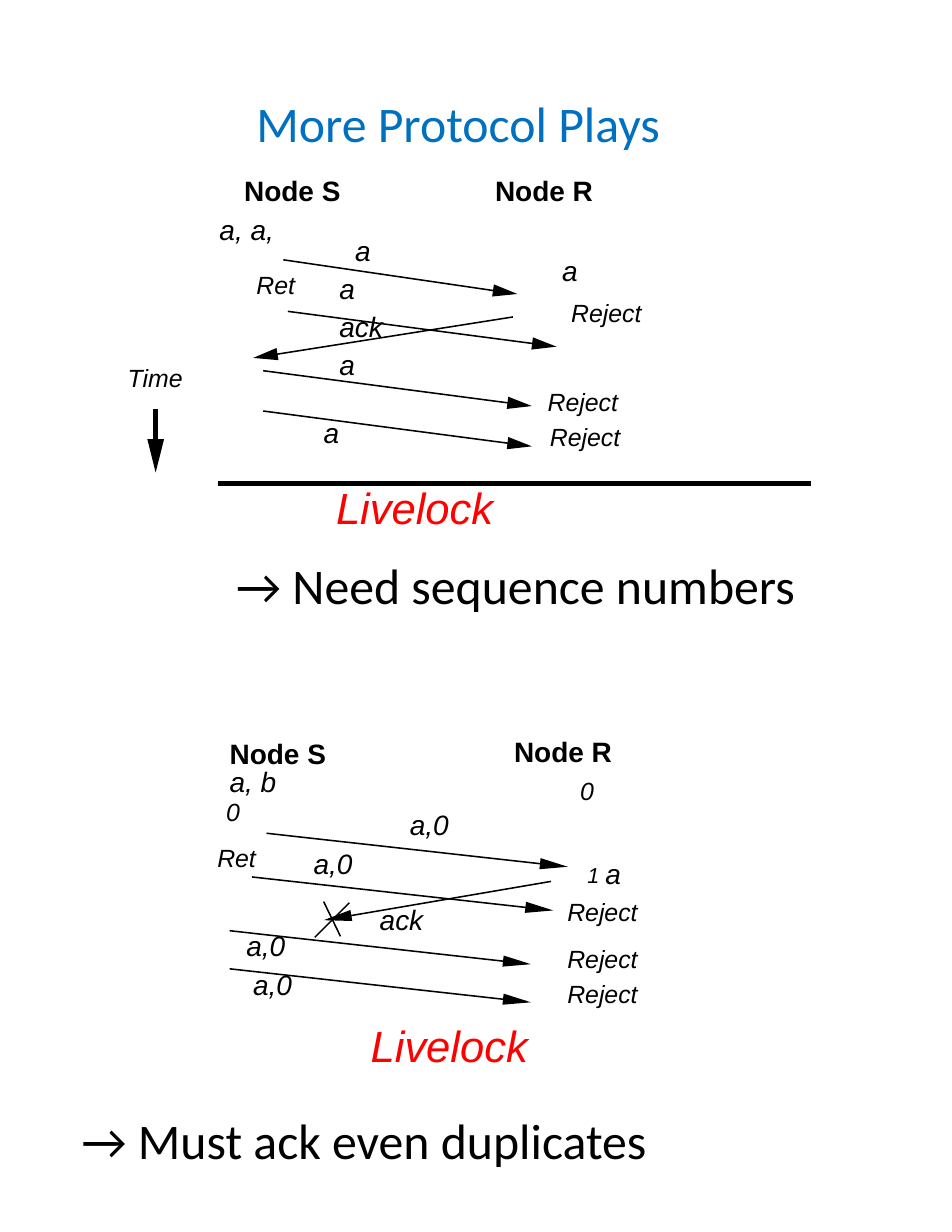
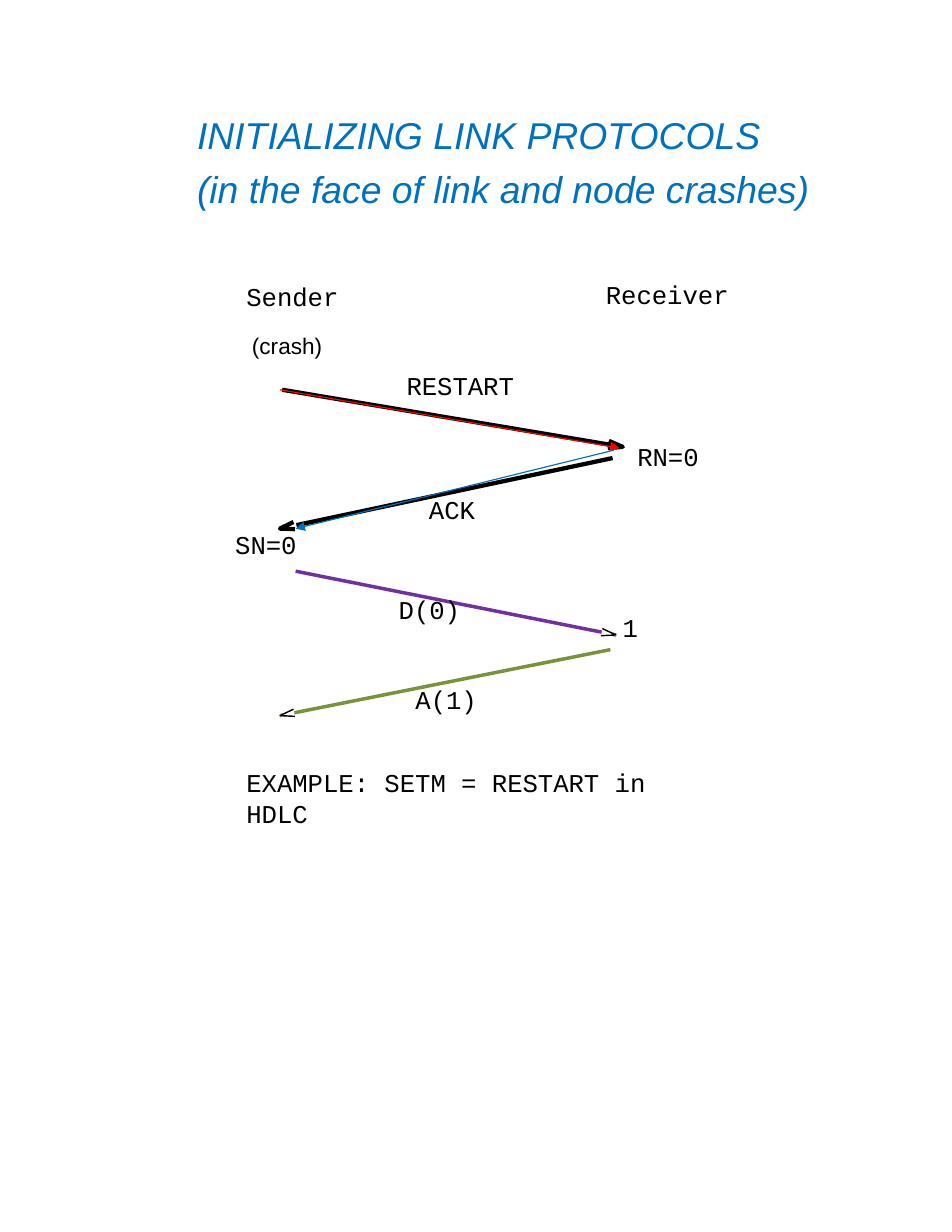
import math

from lxml import etree
from pptx import Presentation
from pptx.dml.color import RGBColor
from pptx.enum import shapes
from pptx.oxml import ns
from pptx.util import Inches, Pt

COLOURS = {"ink": "000000", "paper": "FFFFFF", "title": "0070C0", "alarm": "FF0000",
           "data": "7030A0", "answer": "77933C"}
GRID = 0.1  # inches per column and row: 85 columns by 110 rows
SANS, MONO, HEADING = "Arial", "Courier New", "Calibri"


def cell(count):
    return Inches(count * GRID)


def colour(name):
    return RGBColor.from_string(COLOURS[name])


class Sketch:
    """Holds the deck's style and draws on the current page."""

    def __init__(self):
        self.deck = Presentation()
        self.deck.slide_width, self.deck.slide_height = cell(85), cell(110)
        self.page = None

    def new_page(self):
        self.page = self.deck.slides.add_slide(self.deck.slide_layouts[6])

    def style(self, span, size=18, font=SANS, ink="ink", bold=False, italic=False):
        span.font.size, span.font.name = Pt(size), font
        span.font.bold, span.font.italic = bold, italic
        span.font.color.rgb = colour(ink)

    def label(self, column, row, width, height, *lines, inset=(0, 0),
              centred=False, spacing=None, **look):
        """Each line is a string, or a string with its own settings."""
        box = self.page.shapes.add_textbox(cell(column), cell(row), cell(width), cell(height))
        frame = box.text_frame
        frame.word_wrap = True
        frame.margin_left = frame.margin_right = cell(inset[0])
        frame.margin_top = frame.margin_bottom = cell(inset[1])
        parts = [(line, {}) if isinstance(line, str) else line for line in lines]
        frame.text = "\n".join(line for line, _ in parts)
        for paragraph, (_, own) in zip(frame.paragraphs, parts):
            own = {**look, "spacing": spacing, **own}
            properties = paragraph._p.get_or_add_pPr()
            properties.set("marL", str(cell(own.pop("left", 0))))
            if centred:
                properties.set("algn", "ctr")
            paragraph.space_before = Pt(own.pop("before", 0))
            paragraph.line_spacing = own.pop("spacing")
            for span in paragraph.runs:
                self.style(span, **own)
        return frame

    def heading(self, column, row, width, text, ink="ink"):
        self.label(column, row, width, 6.4, text, inset=(1, 0.5),
                   size=32, font=HEADING, ink=ink)

    def line(self, start, end, ink="ink", weight=1, pointed=False):
        line = self.page.shapes.add_connector(
            shapes.MSO_CONNECTOR.STRAIGHT, *map(cell, (*start, *end)))
        line.line.color.rgb, line.line.width = colour(ink), Pt(weight)
        properties = line._element.spPr
        if pointed:
            outline = properties.find(ns.qn("a:ln"))
            etree.SubElement(outline, ns.qn("a:tailEnd"), type="triangle")
        etree.SubElement(properties, ns.qn("a:effectLst"))

    def head(self, start, end, length, width, reach=0, fill=None, weight=1):
        """A filled triangle, or two open barbs, whose tip lies past the end."""
        angle = math.atan2(end[1] - start[1], end[0] - start[0])
        along, across = math.cos(angle), math.sin(angle)

        def place(forward, side):
            return (cell(end[0] + forward * along - side * across),
                    cell(end[1] + forward * along * 0 + forward * across + side * along))

        back = reach - length
        builder = self.page.shapes.build_freeform(*place(back, -width / 2))
        builder.add_line_segments([place(reach, 0), place(back, width / 2)], close=bool(fill))
        shape = builder.convert_to_shape()
        shape.shadow.inherit = False
        if fill:
            shape.fill.solid()
            shape.fill.fore_color.rgb = colour(fill)
            shape.line.fill.background()
        else:
            shape.fill.background()
            shape.line.color.rgb, shape.line.width = colour("ink"), Pt(weight)

    def arrow(self, start, end, length=2.2, width=1.1, reach=0.4, weight=1):
        self.line(start, end, weight=weight)
        self.head(start, end, length, width, reach, fill="ink")

    def barbed(self, start, end, ink, weight, barb_weight, mask=None):
        self.line(start, end, ink, weight)
        if mask:
            self.head(start, end, *mask, fill="paper")
        self.head(start, end, 1.3, 0.65, weight=barb_weight)

    def copies(self, starts, run, **head):
        for column, row in starts:
            self.arrow((column, row), (column + run[0], row + run[1]), **head)


def protocol_plays(sketch):
    sketch.new_page()
    label = sketch.label
    note = {"size": 16, "italic": True}
    message = {"italic": True}
    livelock = {"size": 28, "ink": "alarm", "italic": True}

    # First play: no sequence numbers
    for column, name in ((21.8, "Node S"), (44.2, "Node R")):
        label(column, 15.5, 11.3, 3.9, name, bold=True)
    sketch.arrow((25.3, 23.2), (45.8, 26.2))
    sketch.arrow((45.8, 28.3), (23, 31.9))
    sketch.copies([(25.7, 27.8), (23.5, 33.1), (23.5, 36.7)], (23.6, 3.1))
    label(19.6, 19, 6.4, 3.9, "a, a,", **message)
    label(22.9, 24.1, 4.7, 3.5, "Ret", **note)
    label(30.3, 20.4, 5.2, 16.9, ("a", {"left": 1.4}), "a", "ack", "a",
          spacing=1.14, **message)
    label(28.9, 37.1, 2.1, 3.9, "a", **message)
    label(50.2, 22.6, 9.1, 8.4, "a",
          ("Reject", {"size": 16, "left": 0.8, "before": 7.2}), **message)
    label(48.9, 34.1, 8.4, 7.8, "Reject", ("Reject", {"left": 0.2}), spacing=1.16, **note)
    label(30, 42.9, 18.1, 4.7, "Livelock", **livelock)

    # Time axis and divider
    label(11.4, 32.4, 6.5, 3.5, "Time", **note)
    sketch.arrow((13.9, 36.5), (13.9, 41.2), length=3, width=1.5, reach=1, weight=3)
    sketch.line((19.5, 43.2), (72.4, 43.2), weight=3)

    # Second play: numbered data, lost ack
    long_head = {"length": 2.5, "width": 1}
    sketch.copies([(23.8, 74.4), (22.5, 78.3), (20.5, 83.1), (20.5, 86.5)],
                  (26.5, 2.95), **long_head)
    sketch.arrow((49.2, 78.7), (29.3, 82.1), **long_head)
    sketch.line((28.9, 80.5), (30.4, 83.6))
    sketch.line((31.2, 80.6), (28.1, 83.7))
    label(20.1, 66, 12.9, 9.3,
          ("Node S", {"bold": True, "italic": False, "left": 0.4, "spacing": Pt(19.6)}),
          ("a, b", {"left": 0.4, "spacing": Pt(18.6)}),
          ("0", {"size": 16, "left": 0.1, "spacing": Pt(18.2)}), **message)
    label(45.9, 65.6, 12.7, 7.5, ("Node R", {"bold": True}),
          ("0", {"left": 5.9, "before": 4.6, **note}))
    label(19.4, 75.2, 5.2, 3.3, "Ret", **note)
    for column, row, text in ((36.6, 72.1, "a,0"), (28, 75.6, "a,0"), (33.9, 80.6, "ack")):
        label(column, row, 5.8, 3.7, text, **message)
    label(22, 82.9, 6.1, 7.8, "a,0", ("a,0", {"left": 0.6, "before": 3.6}), **message)
    replies = label(49, 75.6, 9.6, 15.8, ("1 ", {"size": 24, "left": 0.3}),
                    ("Reject", {"before": 3.2}),
                    ("Reject", {"before": 8.1, "spacing": 1.16}),
                    ("Reject", {"spacing": 1.16}), centred=True, **note)
    first = replies.paragraphs[0]
    first.runs[0]._r.get_or_add_rPr().set("baseline", "2000")
    accepted = first.add_run()
    accepted.text = "a"
    sketch.style(accepted, **message)
    label(33.1, 91, 19.4, 4.7, "Livelock", **livelock)

    # Title and conclusions
    sketch.heading(21.9, 7.8, 50.4, "More Protocol Plays", ink="title")
    sketch.heading(20.1, 49, 62.4, "→ Need sequence numbers")
    sketch.heading(6.3, 98.6, 62.4, "→ Must ack even duplicates")


def initializing(sketch):
    sketch.new_page()
    label = sketch.label
    code = {"size": 16.5, "font": MONO}

    # Title and node names
    label(17.6, 10, 60, 8.9, "INITIALIZING LINK PROTOCOLS",
          ("(in the face of link and node crashes)", {"before": 5.7}),
          size=24, ink="title", italic=True)
    label(54.1, 24.9, 12, 3.1, "Receiver", **code)
    label(22, 25.1, 9, 7.1, "Sender",
          ("(crash)", {"size": 14.5, "font": SANS, "left": 0.5, "before": 12.9}), **code)

    # Exchange between the nodes
    sketch.barbed((25.2, 34.8), (55.6, 39.9), "ink", 2.75, 2.75)
    sketch.barbed((54.7, 40.9), (25, 47.2), "ink", 2.75, 2.75, mask=(2.3, 1.1, 0.8))
    small = (1.6, 0.75, 0.3)
    sketch.barbed((26.4, 51), (55, 56.7), "data", 2.25, 0.9, mask=small)
    sketch.barbed((54.5, 58), (25, 63.9), "answer", 2.25, 0.9, mask=small)

    # Messages and counters
    for column, row, text in ((36.3, 33, "RESTART"), (56.9, 39.4, "RN=0"),
                              (38.3, 44.1, "ACK"), (21, 47.2, "SN=0"),
                              (35.6, 53, "D(0)"), (55.6, 54.6, "1"), (37.1, 61.1, "A(1)")):
        label(column, row, 11, 3.1, text, **code)
    label(22, 68.5, 40, 6, "EXAMPLE: SETM = RESTART in HDLC", **code)

    # Coloured restart and acknowledgement
    sketch.line((25, 34.8), (55.3, 40), "alarm", 0.75, pointed=True)
    sketch.line((54.8, 40.2), (26.4, 47.2), "title", 0.75, pointed=True)


def main():
    sketch = Sketch()
    protocol_plays(sketch)
    initializing(sketch)
    sketch.deck.save("out.pptx")


if __name__ == "__main__":
    main()
